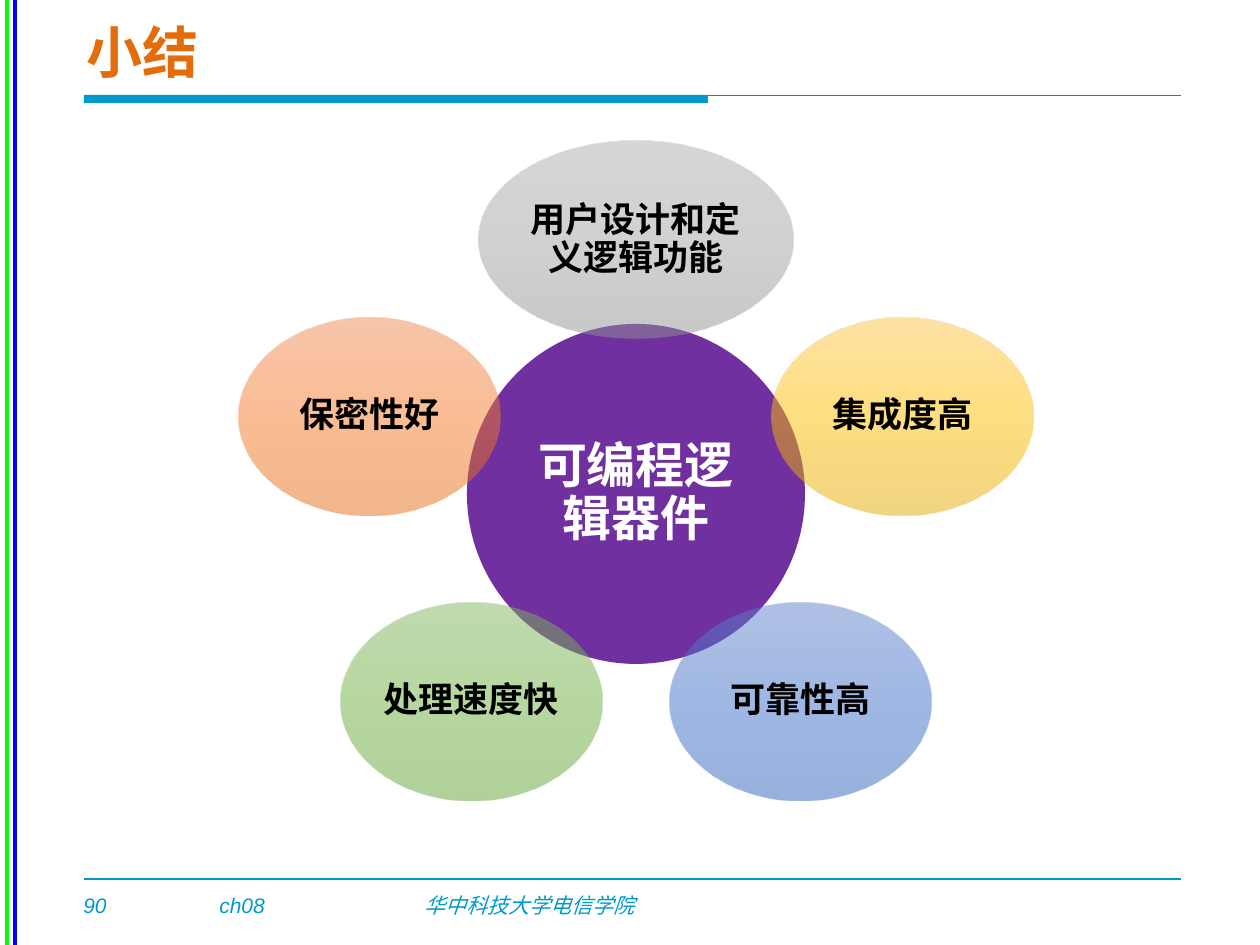
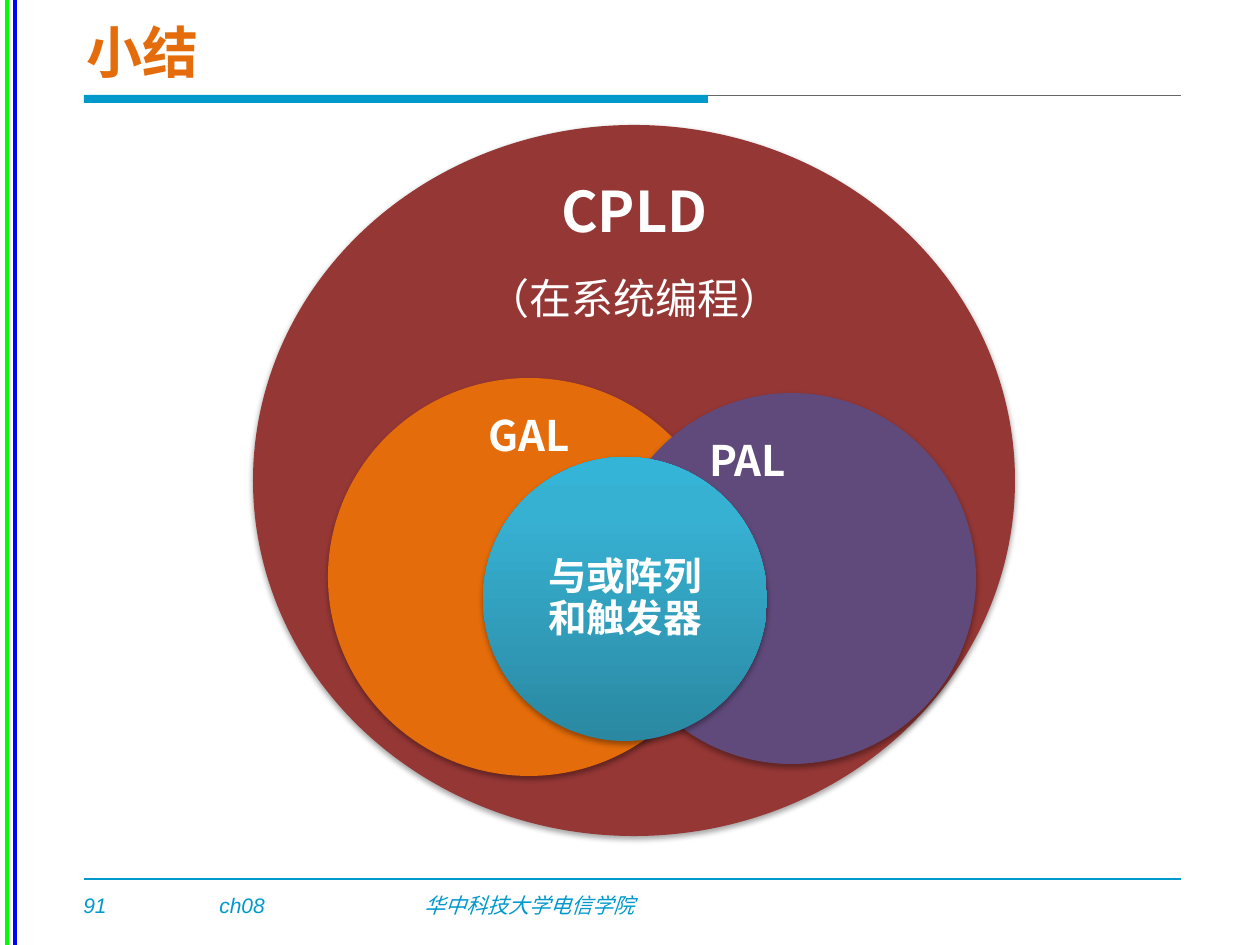
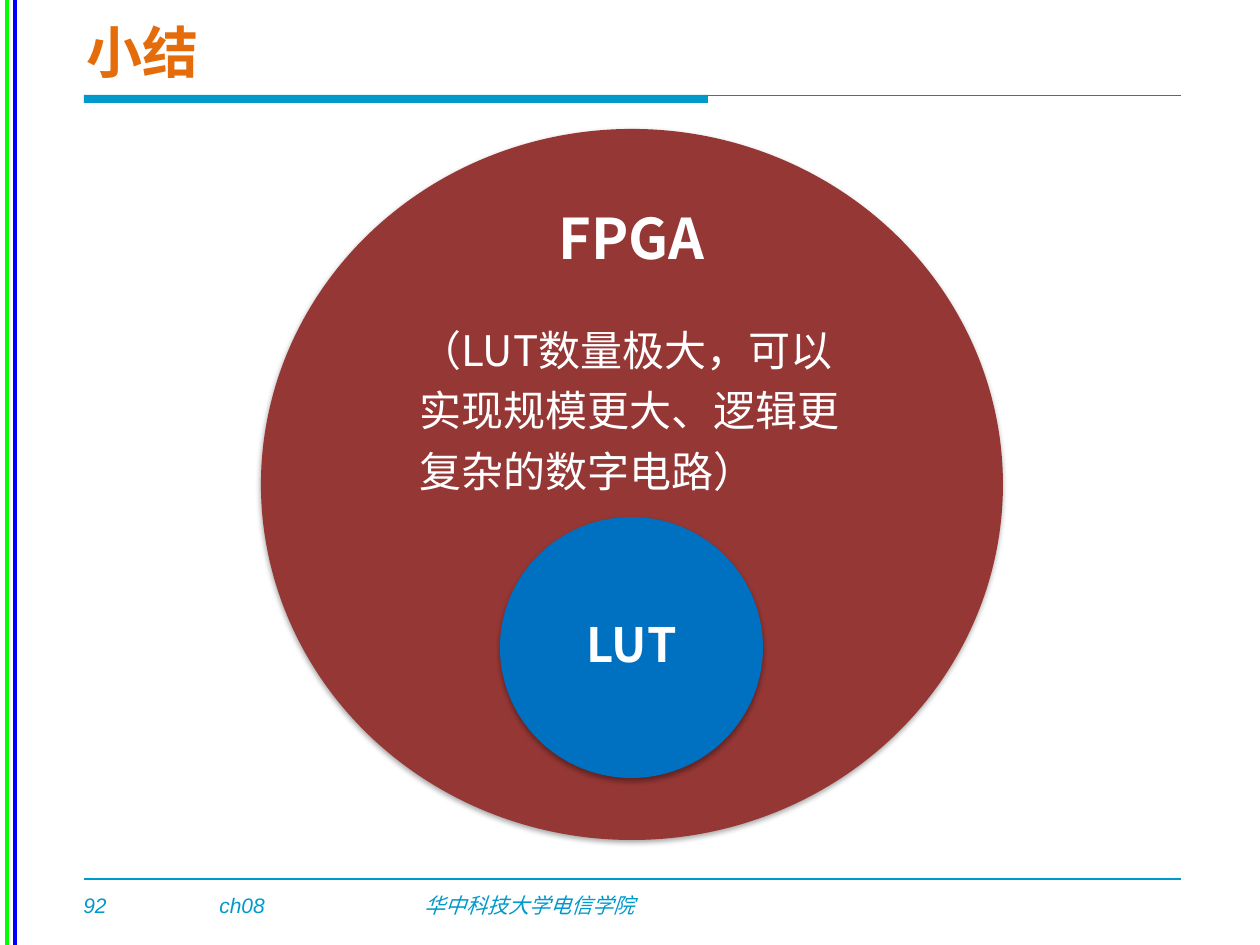
from math import cos, pi, sin
from lxml import etree
from pptx import Presentation
from pptx import util as u
from pptx.dml.color import RGBColor as RGB
from pptx.enum import shapes, text
from pptx.oxml.ns import qn

SCALE = 914400 / 126
WHITE, BLACK = RGB(255, 255, 255), RGB(0, 0, 0)
TEAL, GRAY = RGB(0x00, 0x99, 0xCC), RGB(0x66, 0x66, 0x66)
GREEN, BLUE = RGB(0, 255, 0), RGB(0, 0, 255)
ORANGE, WINE = RGB(0xE4, 0x6C, 0x0A), RGB(0x95, 0x37, 0x35)
VIOLET, PLUM = RGB(0x70, 0x30, 0xA0), RGB(0x60, 0x4A, 0x7B)
AZURE = RGB(0x00, 0x70, 0xC0)
AQUA = [(0, RGB(0x2A, 0x88, 0xA2)), (80, RGB(0x37, 0xB1, 0xD2)), (100, RGB(0x34, 0xB4, 0xD6))]
SANS = "Noto Sans CJK SC"
LEFT, CENTER = text.PP_ALIGN.LEFT, text.PP_ALIGN.CENTER
TOP, MIDDLE = text.MSO_ANCHOR.TOP, text.MSO_ANCHOR.MIDDLE

HEAD = {"size": u.Pt(32), "name": SANS, "bold": True}
NOTE = {"size": u.Pt(24), "name": SANS}
FOOT = {"size": u.Pt(12), "name": "Arial", "italic": True}

PETALS = [
    ("用户设计和定义逻辑功能", 315, (RGB(0xAF, 0xAF, 0xAF), RGB(0xA5, 0xA5, 0xA5), RGB(0x93, 0x93, 0x93))),
    ("集成度高", 262, (RGB(0xFF, 0xC6, 0x4B), RGB(0xFF, 0xC0, 0x00), RGB(0xE3, 0xAB, 0x00))),
    ("可靠性高", 262, (RGB(0x61, 0x83, 0xCB), RGB(0x3E, 0x70, 0xCA), RGB(0x30, 0x62, 0xBB))),
    ("处理速度快", 262, (RGB(0x81, 0xB8, 0x61), RGB(0x6F, 0xB2, 0x42), RGB(0x62, 0xA3, 0x36))),
    ("保密性好", 262, (RGB(0xF1, 0x8C, 0x57), RGB(0xF6, 0x7B, 0x28), RGB(0xE5, 0x6C, 0x19))),
]


def px(*nums):
    return [u.Emu(round(n * SCALE)) for n in nums]


def bold(size, name=SANS):
    return {"size": u.Pt(size), "name": name, "bold": True}


def write(shape, words, form, color, align=LEFT, anchor=TOP, pad=None, wrap=True, space=None):
    frame = shape.text_frame
    frame.text = words
    frame.word_wrap = wrap
    frame.auto_size = text.MSO_AUTO_SIZE.NONE
    frame.vertical_anchor = anchor
    if pad is not None:
        for side in ("left", "top", "right", "bottom"):
            setattr(frame, "margin_" + side, px(pad)[0])
    para = frame.paragraphs[0]
    para.alignment, para.line_spacing = align, space
    run = para.runs[0]
    for key, value in form.items():
        setattr(run.font, key, value)
    run.font.color.rgb = color
    etree.SubElement(run.font._element, qn("a:ea"), typeface=form["name"])


def label(slide, box, words, form, color=WHITE, **opts):
    write(slide.shapes.add_textbox(*px(*box)), words, form, color, **opts)


def name_set(slide, box, words, size):
    label(slide, box, words, bold(size), align=CENTER, anchor=MIDDLE, pad=0, space=0.9)


def rule(slide, ends, color, width):
    line = slide.shapes.add_connector(shapes.MSO_CONNECTOR.STRAIGHT, *px(*ends))
    line.line.color.rgb = color
    line.line.width = u.Pt(width)
    etree.SubElement(line._element.spPr, qn("a:effectLst"))


def blend(shape, stops, angle, alpha):
    shape.fill.gradient()
    shape.fill.gradient_angle = angle
    group = shape._element.spPr.find(qn("a:gradFill")).find(qn("a:gsLst"))
    group[:] = []
    for pos, color in stops:
        stop = etree.SubElement(group, qn("a:gs"), pos=str(pos * 1000))
        tone = etree.SubElement(stop, qn("a:srgbClr"), val=str(color))
        etree.SubElement(tone, qn("a:alpha"), val=str(alpha * 1000))


def cast(shape):
    effect = shape._element.spPr.find(qn("a:effectLst"))
    shade = etree.SubElement(effect, qn("a:outerShdw"), blurRad=str(u.Pt(3.1)),
                             dist=str(u.Pt(1.8)), dir="5400000", rotWithShape="0")
    tone = etree.SubElement(shade, qn("a:srgbClr"), val="000000")
    etree.SubElement(tone, qn("a:alpha"), val="35000")


def solid(slide, kind, box, fill, angle=90, alpha=100):
    shape = slide.shapes.add_shape(kind, *px(*box))
    shape.shadow.inherit = False
    shape.line.fill.background()
    if isinstance(fill, list):
        blend(shape, fill, angle, alpha)
    else:
        shape.fill.solid()
        shape.fill.fore_color.rgb = fill
    return shape


def oval(slide, box, fill, shadow=True, **opts):
    shape = solid(slide, shapes.MSO_SHAPE.OVAL, box, fill, **opts)
    if shadow:
        cast(shape)
    return shape


def inside(shape, words, form, color=WHITE, pad=4):
    write(shape, words, form, color, CENTER, MIDDLE, pad, space=0.9)


def base(deck, page):
    slide = deck.slides.add_slide(deck.slide_layouts[5])
    rule(slide, (15, 0, 15, 945), BLUE, 2)
    rule(slide, (7, 0, 7, 945), GREEN, 2)
    rule(slide, (84, 95, 1181, 95), GRAY, 0.5)
    solid(slide, shapes.MSO_SHAPE.RECTANGLE, (84, 95, 624, 8), TEAL)
    rule(slide, (84, 879, 1181, 879), TEAL, 1)
    for left, width, words in ((71, 52, str(page)), (207, 101, "ch08"), (412, 334, "华中科技大学电信学院")):
        label(slide, (left, 886, width, 38), words, FOOT, TEAL)
    title = slide.shapes.title
    title.left, title.top, title.width, title.height = px(74, 6, 908, 90)
    write(title, "小结", HEAD, ORANGE, anchor=MIDDLE)
    return slide


def flower(slide, box):
    left, top, width, height = box
    mid, core = left + width / 2, top + 355
    hub = oval(slide, (mid - 169, core - 171, 338, 340), VIOLET, shadow=False)
    inside(hub, "可编程逻辑器件", bold(28, "Calibri"), pad=5)
    high = 198
    for i, (words, wide, tones) in enumerate(PETALS):
        turn = 2 * pi * i / len(PETALS)
        x, y = mid + 280 * sin(turn), core - 255 * cos(turn)
        stops = list(zip((0, 50, 100), tones))
        petal = oval(slide, (x - wide / 2, y - high / 2, wide, high), stops,
                     shadow=False, angle=270, alpha=50)
        inside(petal, words, bold(20), BLACK)


def nest(slide, box):
    left, top, width, height = box
    oval(slide, box, WINE)
    name_set(slide, (left + 275, top + 36, 213, 107), "CPLD", 32)
    oval(slide, (left + 75, top + 253, 402, 398), ORANGE)
    name_set(slide, (left + 206, top + 277, 141, 72), "GAL", 24)
    oval(slide, (left + 354, top + 268, 369, 371), PLUM)
    name_set(slide, (left + 409, top + 296, 171, 83), "PAL", 24)
    heart = oval(slide, (left + 230, top + 332, 284, 284), AQUA, angle=90)
    inside(heart, "与或阵列和触发器", bold(22), pad=18)
    label(slide, (left + 222, top + 141, 324, 63), "（在系统编程）", NOTE, wrap=False)


def table(slide, box):
    left, top, width, height = box
    oval(slide, box, WINE)
    name_set(slide, (left + 176, top + 52, 389, 121), "FPGA", 32)
    core = oval(slide, (left + 239, top + 388, 263, 261), AZURE)
    inside(core, "LUT", bold(27))
    label(slide, (left + 146, top + 179, 454, 190),
          "（LUT数量极大，可以实现规模更大、逻辑更复杂的数字电路）", NOTE, space=1.2)


def main():
    deck = Presentation()
    deck.slide_width, deck.slide_height = px(1260, 945)
    parts = ((flower, (239, 140, 794, 660)), (nest, (253, 125, 762, 711)), (table, (261, 129, 742, 711)))
    for page, (draw, box) in enumerate(parts, 90):
        draw(base(deck, page), box)
    deck.save("out.pptx")


if __name__ == "__main__":
    main()
